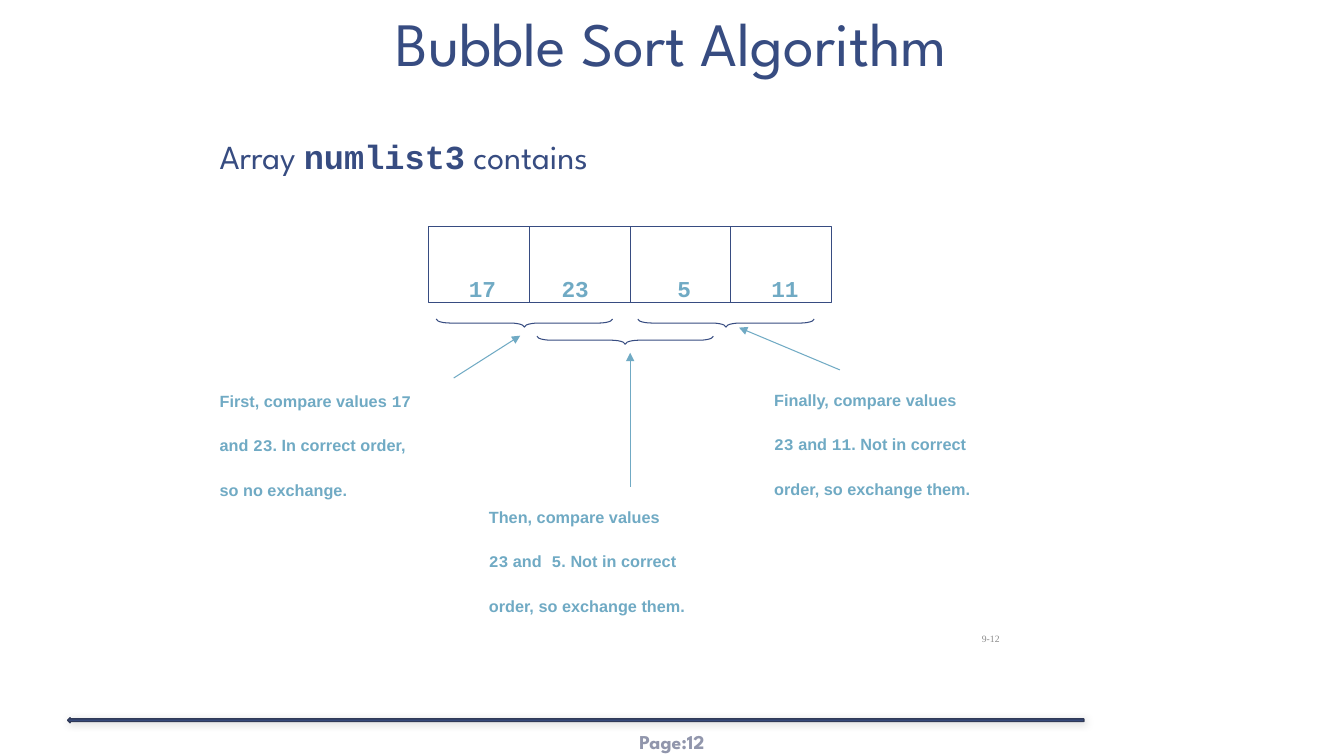
from lxml import etree
from pptx import Presentation
from pptx.dml.color import RGBColor
from pptx.enum.shapes import MSO_CONNECTOR, MSO_SHAPE
from pptx.enum.text import MSO_ANCHOR, PP_ALIGN
from pptx.oxml.ns import qn
from pptx.util import Inches, Pt

LEFT, CENTER = PP_ALIGN.LEFT, PP_ALIGN.CENTER
TOP, MIDDLE, BOTTOM = MSO_ANCHOR.TOP, MSO_ANCHOR.MIDDLE, MSO_ANCHOR.BOTTOM
RECTANGLE, BRACE = MSO_SHAPE.RECTANGLE, MSO_SHAPE.RIGHT_BRACE
LEFT_ARROW, STRAIGHT = MSO_SHAPE.LEFT_ARROW, MSO_CONNECTOR.STRAIGHT

NAVY, SKY, GRAY, MUTED, EDGE = "374C81", "70AAC4", "898989", "9196AC", "303A58"
DISPLAY, CODE, SANS, SERIF = "League Spartan", "Courier New", "Arial", "Times New Roman"

HEADING = {"name": DISPLAY, "size": Pt(44), "color": NAVY}
BODY = {"name": DISPLAY, "size": Pt(24), "color": NAVY}
BODY_CODE = {**BODY, "name": CODE, "bold": True}
NOTE = {"name": SANS, "size": Pt(20), "color": SKY, "bold": True, "baseline": -25}
NOTE_CODE = {**NOTE, "name": CODE}
NUMBER = {**NOTE_CODE, "size": Pt(28)}
SLIDE_NUMBER = {"name": SERIF, "size": Pt(12), "color": GRAY, "baseline": -25}
FOOTER = {"name": DISPLAY, "size": Pt(14), "color": MUTED, "bold": True}

TEXTS = [
    ((5.78, 7.16, 1.77, 0.4), [[("Page:12", FOOTER)]],
     {"alignment": CENTER}, MIDDLE, (0.04, 0.02)),
    ((0, 0, 13.33, 0.86), [[("Bubble Sort Algorithm", HEADING)]],
     {"alignment": CENTER, "line_spacing": 0.85}, BOTTOM, (0.13, 0.07)),
    ((2.08, 1.33, 9.67, 4.5),
     [[("Array ", BODY), ("numlist3", BODY_CODE), (" contains", BODY)]],
     {"line_spacing": 0.95, "space_before": Pt(18.7)}, TOP, (0.1, 0.05)),
    ((9.64, 6.12, 3.11, 0.4), [[("9-12", SLIDE_NUMBER)]], {}, TOP, (0.1, 0.05)),
]

VALUES = [("17", 4.41), ("23", 5.33), ("5", 6.41), ("11", 7.41)]
CELL_LEFT, CELL_TOP, CELL_WIDTH, CELL_HEIGHT = 4.25, 2.25, 1, 0.75
BRACE_TOPS = [2.33, 2.5, 2.33]

NOTES = [
    ((2.08, 3.68), (4.5, 3.75), (5.16, 3.33), [
        [("First, compare values ", NOTE), ("17", NOTE_CODE)],
        [("and ", NOTE), ("23", NOTE_CODE), (". In correct order,", NOTE)],
        [("so no exchange.", NOTE)]]),
    ((7.58, 3.67), (8.33, 3.67), (7.33, 3.25), [
        [("Finally, compare values", NOTE)],
        [("23", NOTE_CODE), (" and ", NOTE), ("11", NOTE_CODE), (". Not in correct", NOTE)],
        [("order, so exchange them.", NOTE)]]),
    ((4.75, 4.83), (6.25, 4.83), (6.25, 3.5), [
        [("Then, compare values", NOTE)],
        [("23", NOTE_CODE), (" and", NOTE), (" 5", NOTE_CODE), (". Not in correct", NOTE)],
        [("order, so exchange them.", NOTE)]]),
]
NOTE_FORMAT = {"line_spacing": 0.8, "space_before": Pt(10)}
NUMBER_FORMAT = {"alignment": CENTER, "space_before": Pt(14)}


def color(hex_code):
    return RGBColor.from_string(hex_code)


def add_text(page, place, paragraphs, layout, anchor=TOP, inset=(0.1, 0.05)):
    frame = page.shapes.add_textbox(*map(Inches, place)).text_frame
    across, down = map(Inches, inset)
    settings = {"word_wrap": True, "vertical_anchor": anchor,
                "margin_left": across, "margin_right": across,
                "margin_top": down, "margin_bottom": down}
    for key, value in settings.items():
        setattr(frame, key, value)
    for index, spans in enumerate(paragraphs):
        para = frame.add_paragraph() if index else frame.paragraphs[0]
        for key, value in {"alignment": LEFT, **layout}.items():
            setattr(para, key, value)
        for text, style in spans:
            span = para.add_run()
            span.text = text
            for key, value in style.items():
                if key == "color":
                    span.font.color.rgb = color(value)
                elif key == "baseline":
                    span.font._element.set("baseline", str(value * 1000))
                else:
                    setattr(span.font, key, value)


def add_outline(page, kind, place, line=NAVY, width=0.75, fill=None):
    shape = page.shapes.add_shape(kind, *map(Inches, place))
    shape.shadow.inherit = False
    if fill:
        shape.fill.solid()
        shape.fill.fore_color.rgb = color(fill)
    else:
        shape.fill.background()
    shape.line.color.rgb = color(line)
    shape.line.width = Pt(width)
    return shape


def add_arrow(page, start, end):
    arrow = page.shapes.add_connector(STRAIGHT, *map(Inches, start + end))
    arrow.line.color.rgb = color(SKY)
    arrow.line.width = Pt(0.75)
    etree.SubElement(arrow.line._get_or_add_ln(), qn("a:tailEnd"), type="triangle")
    etree.SubElement(arrow._element.spPr, qn("a:effectLst"))


def add_footer_bar(page):
    bar = add_outline(page, LEFT_ARROW, (0.67, 7.12, 10.08, 0.05), EDGE, 1, NAVY)
    effects = bar._element.spPr.find(qn("a:effectLst"))
    shadow = etree.SubElement(effects, qn("a:outerShdw"), blurRad=str(Pt(6)),
                              dist=str(Pt(1)), dir="2700000", rotWithShape="0")
    tint = etree.SubElement(shadow, qn("a:srgbClr"), val="000000")
    etree.SubElement(tint, qn("a:alpha"), val="20000")


def main():
    deck = Presentation()
    deck.slide_width, deck.slide_height = Inches(13.33), Inches(7.5)
    page = deck.slides.add_slide(deck.slide_layouts[6])
    add_footer_bar(page)
    for text in TEXTS:
        add_text(page, *text)
    for index, (value, left) in enumerate(VALUES):
        cell_left = CELL_LEFT + index * CELL_WIDTH
        add_outline(page, RECTANGLE, (cell_left, CELL_TOP, CELL_WIDTH, CELL_HEIGHT))
        add_text(page, (left, 2.42, 0.75, 0.57), [[(value, NUMBER)]], NUMBER_FORMAT)
    for index, top in enumerate(BRACE_TOPS):
        brace = add_outline(page, BRACE, (5.16 + index * CELL_WIDTH, top, 0.08, 1.75))
        brace.rotation = 90
        brace.adjustments[0] = 1.75
    for corner, start, end, paragraphs in NOTES:
        add_text(page, corner + (3.58, 0.91), paragraphs, NOTE_FORMAT)
        add_arrow(page, start, end)
    deck.save("out.pptx")


if __name__ == "__main__":
    main()
